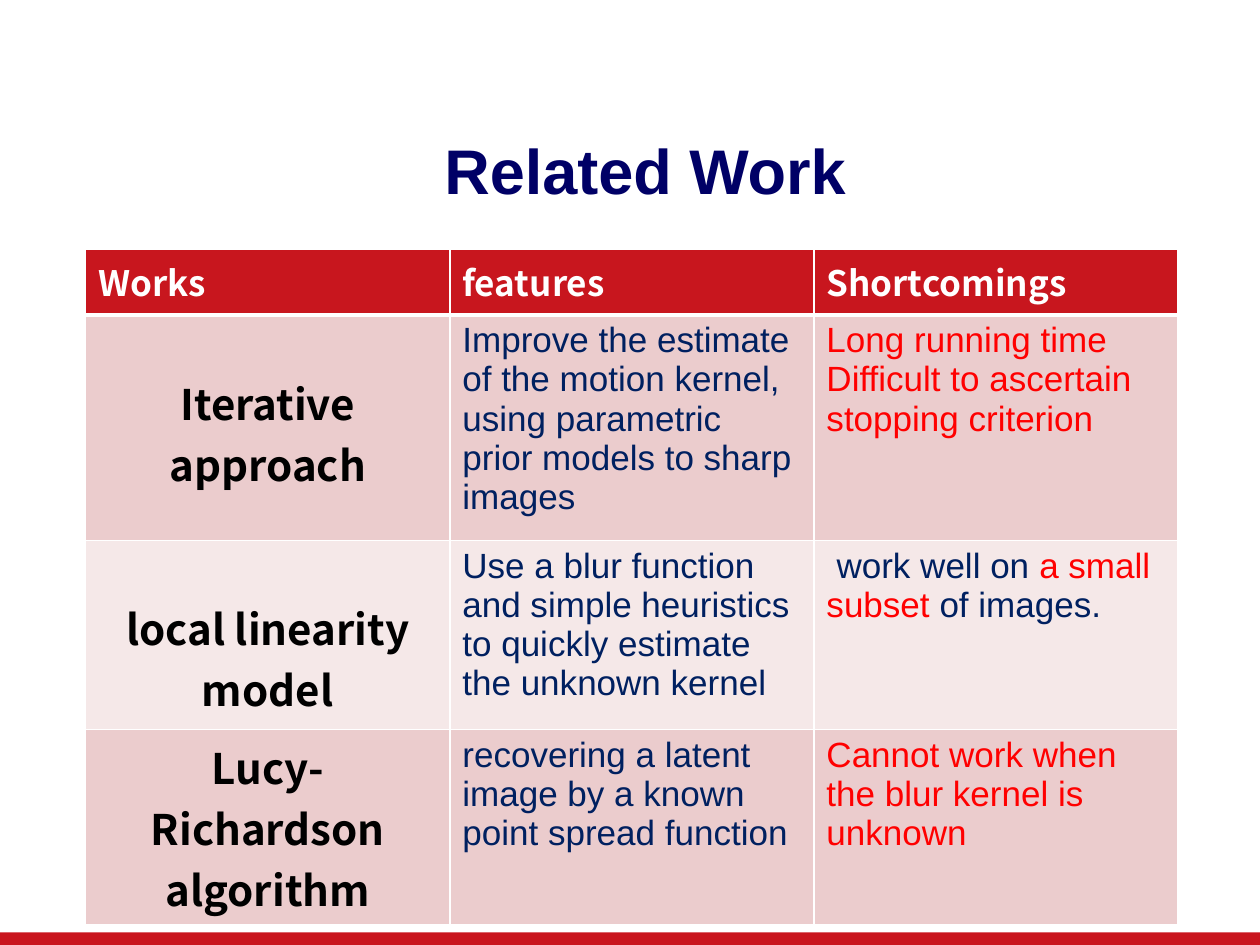
"""Build the Related Work slide with its comparison table."""
from pptx import Presentation
from pptx.dml.color import RGBColor
from pptx.enum.shapes import MSO_SHAPE
from pptx.enum.text import MSO_ANCHOR, PP_ALIGN
from pptx.oxml import parse_xml
from pptx.oxml.ns import nsdecls
from pptx.util import Inches, Pt

COLORS = {
    "bar": "C9151E", "header": "C8161E", "odd": "EBCCCD", "even": "F5E8E8",
    "title": "000066", "work": "000000", "feature": "002060",
    "shortcoming": "FF0000", "white": "FFFFFF",
}
HEADING_FONT = "Noto Sans CJK SC"


def add_text(para, text, size=20, font="Arial", color="feature", bold=False):
    span = para.add_run()
    span.text = text
    span.font.size = Pt(size)
    span.font.name = font
    span.font.bold = bold
    span.font.color.rgb = RGBColor.from_string(COLORS[color])


def format_cell(cell, fill, bottom_width=1):
    cell.fill.solid()
    cell.fill.fore_color.rgb = RGBColor.from_string(COLORS[fill])
    properties = cell._tc.get_or_add_tcPr()
    for position, side in enumerate(("lnL", "lnR", "lnT", "lnB")):
        width = Pt(bottom_width if side == "lnB" else 1)
        properties.insert(position, parse_xml(
            f'<a:{side} {nsdecls("a")} w="{width}"><a:solidFill>'
            f'<a:srgbClr val="{COLORS["white"]}"/></a:solidFill></a:{side}>'))


deck = Presentation()
deck.slide_width, deck.slide_height = Inches(10), Inches(7.5)
page = deck.slides.add_slide(deck.slide_layouts[5])

bar = page.shapes.add_shape(MSO_SHAPE.RECTANGLE, Inches(0), Inches(7.4), Inches(10), Inches(0.1))
bar.shadow.inherit = False
bar.fill.solid()
bar.fill.fore_color.rgb = RGBColor.from_string(COLORS["bar"])
bar.line.fill.background()

title = page.shapes.title
title.left, title.top, title.width, title.height = map(Inches, (0.54, 1.07, 9.16, 0.63))
title.text_frame.vertical_anchor = MSO_ANCHOR.MIDDLE
title_para = title.text_frame.paragraphs[0]
title_para.alignment = PP_ALIGN.CENTER
title_para.line_spacing = 0.9
add_text(title_para, "Related Work", size=36, color="title", bold=True)

headers = ["Works", "features", "Shortcomings"]
works = [
    (["Iterative", "approach"],
     ["Improve the estimate of the motion kernel,",
      "using parametric prior models to sharp images"],
     [[("Long running time", "shortcoming")],
      [("Difficult to ascertain stopping criterion", "shortcoming")]]),
    (["local linearity", "model"],
     ["Use a blur function and simple heuristics to quickly estimate",
      "the unknown kernel"],
     [[("work well on ", "feature"), ("a small subset", "shortcoming"),
       (" of images.", "feature")]]),
    (["Lucy-Richardson algorithm"],
     ["recovering a latent image by a known point spread function"],
     [[("Cannot work when the blur kernel is unknown", "shortcoming")]]),
]
row_heights = [0.52, 1.79, 1.5, 1.55]

table = page.shapes.add_table(
    len(row_heights), len(headers), Inches(0.68), Inches(1.98),
    Inches(8.67), Inches(sum(row_heights))).table
for column in table.columns:
    column.width = Inches(2.89)
for row, height in zip(table.rows, row_heights):
    row.height = Inches(height)

for cell, header in zip(table.rows[0].cells, headers):
    format_cell(cell, "header", bottom_width=3)
    add_text(cell.text_frame.paragraphs[0], header, font=HEADING_FONT, color="white", bold=True)

for number, (names, features, shortcomings) in enumerate(works, start=1):
    contents = [
        [[(name, "work")] for name in names],
        [[(feature, "feature")] for feature in features],
        shortcomings,
    ]
    for column, (cell, lines) in enumerate(zip(table.rows[number].cells, contents)):
        format_cell(cell, "odd" if number % 2 else "even")
        heading = column == 0
        if heading and len(lines) > 1:
            cell.margin_top = Inches(0.45)
        for index, spans in enumerate(lines):
            frame = cell.text_frame
            para = frame.add_paragraph() if index else frame.paragraphs[0]
            if heading:
                para.alignment = PP_ALIGN.CENTER
            if len(spans) > 1:
                para._p.get_or_add_pPr().set("indent", str(Inches(0.08)))
            for text, color in spans:
                add_text(para, text, size=24 if heading else 20,
                         font=HEADING_FONT if heading else "Arial",
                         color=color, bold=heading)

deck.save("out.pptx")
